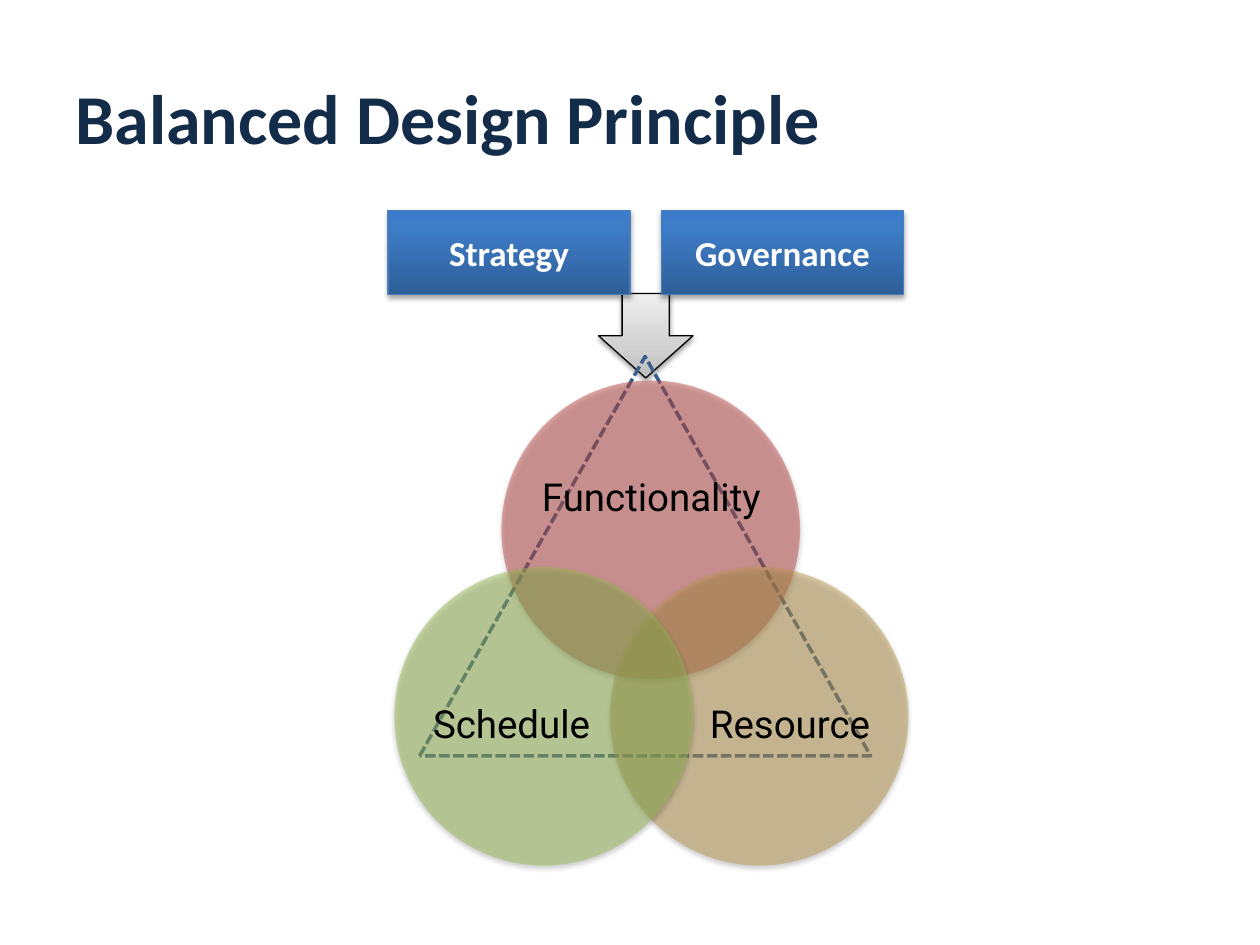
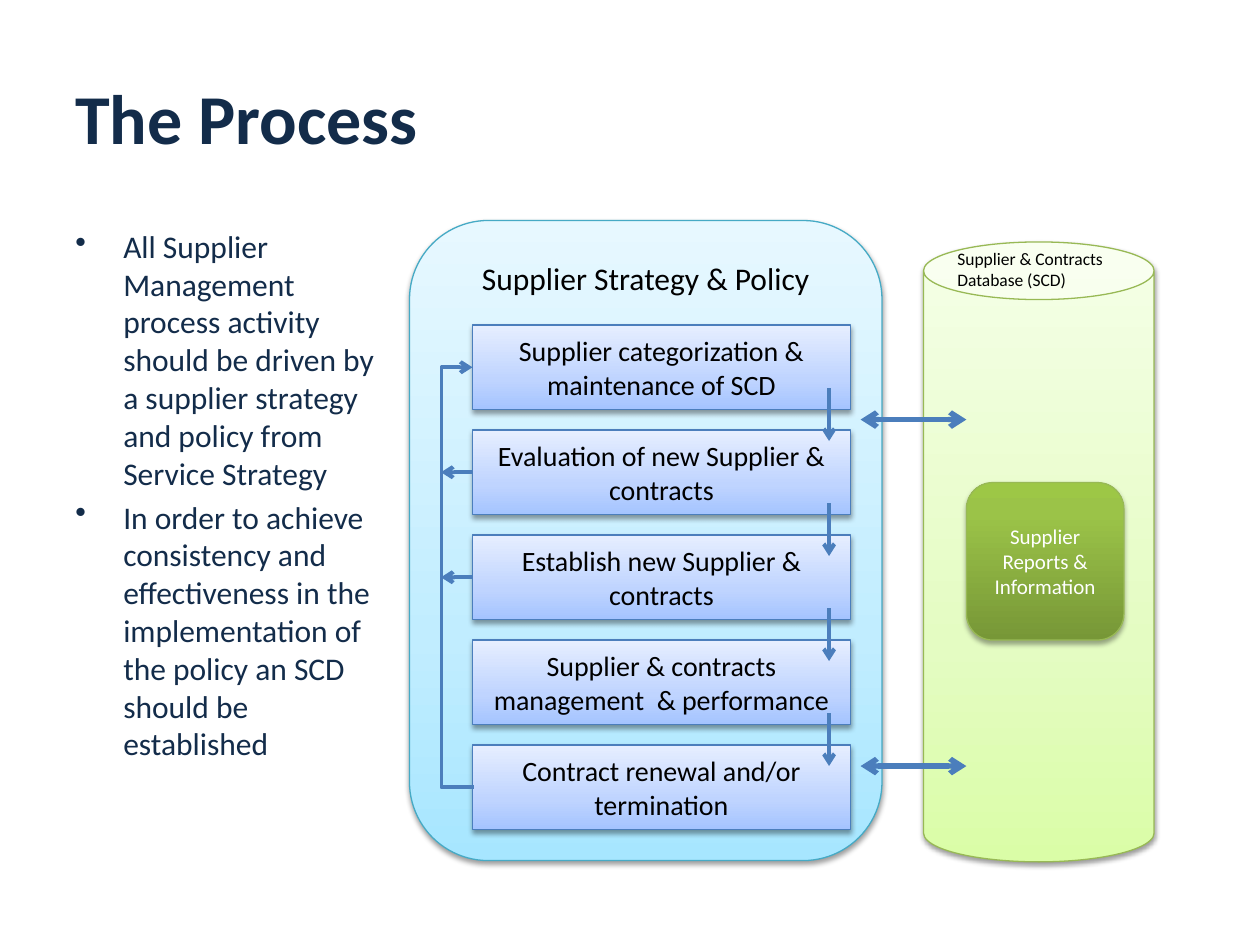
from lxml.etree import SubElement
from pptx import Presentation
from pptx.dml.color import RGBColor
from pptx.enum.dml import MSO_LINE
from pptx.enum.shapes import MSO_CONNECTOR, MSO_SHAPE
from pptx.enum.text import MSO_ANCHOR, PP_ALIGN
from pptx.oxml.ns import qn
from pptx.util import Inches, Pt

# Shared look
NAVY, BLUE, BLACK, WHITE = "132C4A", "4B7EBC", "000000", "FFFFFF"
GRAY = [(0, "BDBDBD"), (35, "D1D1D1"), (100, "EEEEEE")]
DEEP = [(0, "2F5F99"), (80, "3D7CC7"), (100, "3A7CCB")]
SKY = [(0, "A7E6FF"), (35, "C1EDFF"), (100, "E7F8FF")]
PALE = [(0, "A4C4FF"), (35, "BFD4FF"), (100, "E6EEFF")]
LIME = [(0, "DAFDA7"), (35, "E4FCC2"), (100, "F5FFE7")]
GREEN = [(0, "779737"), (80, "9BC348"), (100, "9DC746")]
LEAF = "98B955"


def color(code):
    return RGBColor.from_string(code)


def node(parent, tag, **attrs):
    return SubElement(parent, qn(tag), {k: str(v) for k, v in attrs.items()})


def write(shape, lines, size, ink=BLACK, font="Calibri", bold=False,
          align=PP_ALIGN.CENTER, anchor=MSO_ANCHOR.MIDDLE):
    frame = shape.text_frame
    frame.word_wrap = True
    frame.vertical_anchor = anchor
    frame.text = "\n".join(lines)
    for para in frame.paragraphs:
        para.alignment = align
        para.font.size = Pt(size)
        para.font.name = font
        para.font.bold = bold
        para.font.color.rgb = color(ink)
    return frame


def label(slide, box, lines, size, **style):
    return write(slide.shapes.add_textbox(*map(Inches, box)), lines, size, **style)


def shade(shape, alpha=38, dist=1.6):
    effects = shape._element.spPr.find(qn("a:effectLst"))
    outer = node(effects, "a:outerShdw", blurRad=Pt(3.1), dist=Pt(dist),
                 dir=5400000, rotWithShape=0)
    node(node(outer, "a:srgbClr", val=BLACK), "a:alpha", val=alpha * 1000)


def block(slide, kind, box, fill=None, edge=None, width=0.75):
    """Add a shape; fill is a list of gradient stops, a hex string or None."""
    shape = slide.shapes.add_shape(kind, *map(Inches, box))
    shape.shadow.inherit = False
    if isinstance(fill, list):
        shape.fill.gradient()
        shape.fill.gradient_angle = 90
        stops = shape._element.spPr.find(qn("a:gradFill")).find(qn("a:gsLst"))
        stops.clear()
        for pos, code in fill:
            node(node(stops, "a:gs", pos=pos * 1000), "a:srgbClr", val=code)
    elif fill:
        shape.fill.solid()
        shape.fill.fore_color.rgb = color(fill)
    else:
        shape.fill.background()
    if edge:
        shape.line.color.rgb = color(edge)
        shape.line.width = Pt(width)
    else:
        shape.line.fill.background()
    return shape


def arrow(slide, start, end, width=2.25, both=False, kind=MSO_CONNECTOR.STRAIGHT):
    link = slide.shapes.add_connector(kind, *map(Inches, start + end))
    link.line.color.rgb = color(BLUE)
    link.line.width = Pt(width)
    line = link.line._get_or_add_ln()
    if both:
        node(line, "a:headEnd", type="arrow")
    node(line, "a:tailEnd", type="arrow")
    node(link._element.spPr, "a:effectLst")
    return link


def start(deck, title):
    slide = deck.slides.add_slide(deck.slide_layouts[6])
    label(slide, (0.5, 0.3, 9, 1.25), [title], 40, ink=NAVY, bold=True,
          align=PP_ALIGN.LEFT)
    return slide


# Balance slide
def frame(slide, left, top):
    """Arrow and dashed triangle behind the circles."""
    shade(block(slide, MSO_SHAPE.DOWN_ARROW, (left + 1.42, top, 0.75, 0.67),
                GRAY, BLACK))
    tri = block(slide, MSO_SHAPE.ISOSCELES_TRIANGLE,
                (left, top + 0.5, 3.58, 3.17), edge="3A5F8C", width=2)
    tri.line.dash_style = MSO_LINE.SQUARE_DOT


def venn(slide, left, top):
    """Three see-through circles, each with a label placed inside it."""
    side = 2.37
    rings = [
        ("Functionality", "C0504D", 0.85, 0, (0.32, 0.41, 1.74, 1.07)),
        ("Resource", "BD9B53", 1.71, 1.48, (0.72, 0.61, 1.42, 1.3)),
        ("Schedule", "9BBB59", 0, 1.48, (0.22, 0.61, 1.42, 1.3)),
    ]
    for name, fill, dx, dy, (tx, ty, wide, high) in rings:
        x, y = left + dx, top + dy
        ring = block(slide, MSO_SHAPE.OVAL, (x, y, side, side), fill)
        tint = ring._element.spPr.find(qn("a:solidFill"))[0]
        node(tint, "a:alpha", val=50000)
        shade(ring)
        text = label(slide, (x + tx, y + ty, wide, high), [name], 22, font="Roboto")
        text.margin_left = text.margin_right = 0
        text.margin_top = text.margin_bottom = 0
        text.paragraphs[0].line_spacing = 0.9


def drivers(slide, left, top):
    for i, name in enumerate(["Strategy", "Governance"]):
        box = block(slide, MSO_SHAPE.RECTANGLE,
                    (left + i * 2.17, top, 1.92, 0.67), DEEP, BLUE)
        shade(box, 35, 1.8)
        write(box, [name], 20, WHITE, bold=True)


def balance(deck):
    slide = start(deck, "Balanced Design Principle")
    frame(slide, 3.33, 2.33)
    venn(slide, 3.13, 3.02)
    drivers(slide, 3.08, 1.67)


# Process slide
def points(slide, box):
    text = label(slide, box, [
        "All Supplier Management process activity should be driven by a supplier "
        "strategy and policy from Service Strategy",
        "In order to achieve consistency and effectiveness in the implementation "
        "of the policy an SCD should be established",
    ], 18, ink=NAVY, align=PP_ALIGN.LEFT, anchor=MSO_ANCHOR.TOP)
    for para in text.paragraphs:
        props = para._p.get_or_add_pPr()
        props.set("marL", str(Inches(0.38)))
        props.set("indent", str(-Inches(0.38)))
        bullet = node(props, "a:buChar", char="•")
        props.remove(bullet)
        props.insert(0, bullet)
    text.paragraphs[1].space_before = Pt(3.6)


def policy(slide, left, top):
    panel = block(slide, MSO_SHAPE.ROUNDED_RECTANGLE, (left, top, 3.75, 5.08),
                  SKY, "46AAC5")
    shade(panel)
    text = write(panel, ["Supplier Strategy & Policy"], 18, anchor=MSO_ANCHOR.TOP)
    text.margin_top = Inches(0.12)


def steps(slide, left, top):
    """Five stacked steps, arrows down, and the return path on the left."""
    names = [
        "Supplier categorization & maintenance of SCD",
        "Evaluation of new Supplier & contracts",
        "Establish new Supplier & contracts",
        "Supplier & contracts management  & performance",
        "Contract renewal and/or termination",
    ]
    pitch, high = 0.8333, 0.67
    for i, name in enumerate(names):
        box = block(slide, MSO_SHAPE.RECTANGLE,
                    (left, top + i * pitch, 3, high), PALE, BLUE)
        shade(box)
        write(box, [name], 16)
    for i in range(len(names) - 1):
        y = top + 0.5 + i * pitch
        arrow(slide, (left + 2.83, y + (0.08 if i else 0)),
              (left + 2.83, y + (0.5 if i else 0.42)))

    # Return path: turned half round, so it runs from the last step to the first
    mid, thin = top + high / 2, 0.01
    back = arrow(slide, (left, mid), (left + thin, mid + 4 * pitch),
                 kind=MSO_CONNECTOR.ELBOW)
    back._element.spPr.find(qn("a:xfrm")).set("rot", "10800000")
    shape = back._element.spPr.find(qn("a:prstGeom"))
    guides = shape.find(qn("a:avLst"))
    if guides is None:
        guides = node(shape, "a:avLst")
    bend = round((0.25 + thin) / thin * 100000)
    node(guides, "a:gd", name="adj1", fmla=f"val {bend}")
    for i in (1, 2):
        y = mid + i * pitch
        arrow(slide, (left, y), (left - 0.25, y))


def store(slide, left, top):
    """Database cylinder with its caption and the reports box."""
    shade(block(slide, MSO_SHAPE.CAN, (left, top, 1.83, 4.92), LIME, LEAF))
    box = block(slide, MSO_SHAPE.ROUNDED_RECTANGLE,
                (left + 0.34, top + 1.91, 1.25, 1.25), GREEN, LEAF)
    shade(box, 35, 1.8)
    write(box, ["Supplier Reports & Information"], 12, WHITE)
    text = label(slide, (left + 0.17, top, 1.41, 0.44),
                 ["Supplier & Contracts", "Database (SCD)"], 10,
                 align=PP_ALIGN.LEFT, anchor=MSO_ANCHOR.TOP)
    text.word_wrap = False


def process(deck):
    slide = start(deck, "The Process")
    policy(slide, 3.25, 1.75)
    points(slide, (0.5, 1.75, 2.58, 4.95))
    steps(slide, 3.75, 2.58)
    store(slide, 7.33, 1.92)
    for y in (3.33, 6.08):
        arrow(slide, (6.83, y), (7.67, y), 3, both=True)


def main():
    deck = Presentation()
    deck.slide_width, deck.slide_height = Inches(10), Inches(7.5)
    balance(deck)
    process(deck)
    deck.save("out.pptx")


if __name__ == "__main__":
    main()
